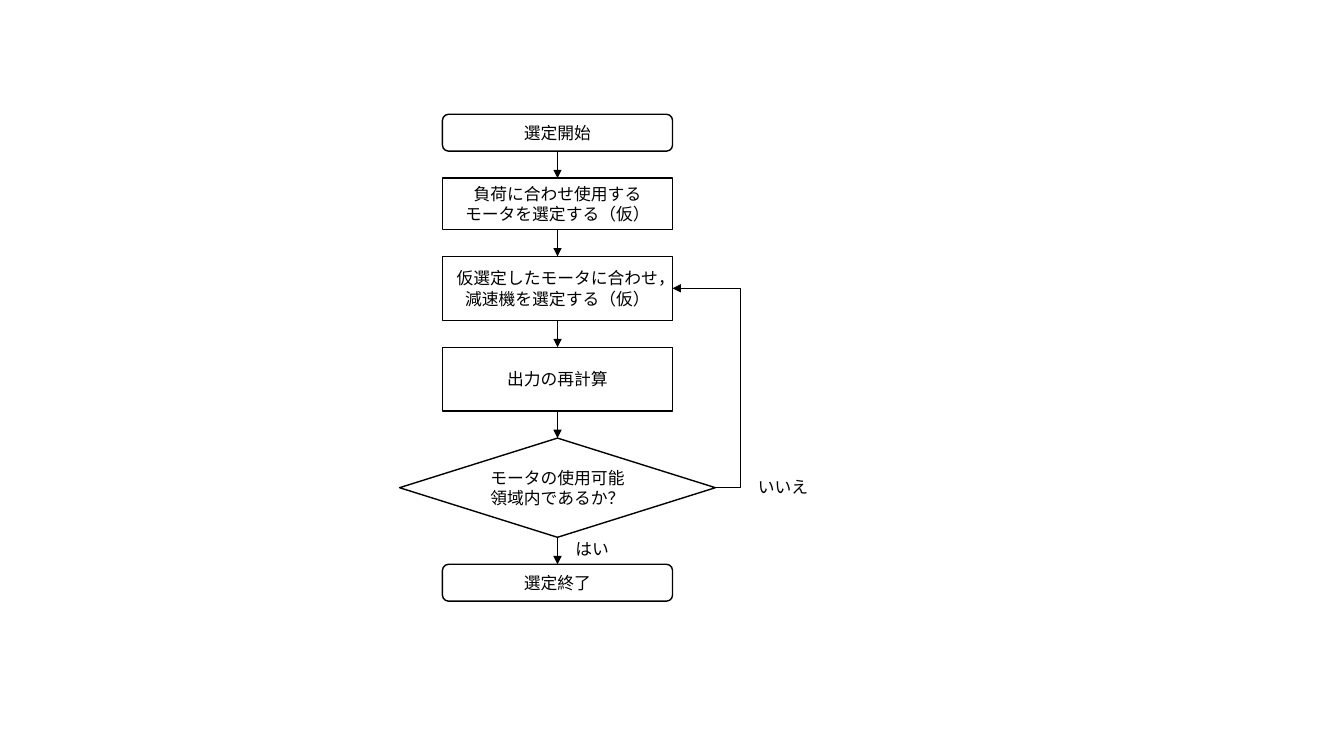
from lxml import etree
from pptx import Presentation
from pptx.dml.color import RGBColor
from pptx.enum.shapes import MSO_CONNECTOR, MSO_SHAPE
from pptx.enum.text import MSO_ANCHOR, MSO_AUTO_SIZE, PP_ALIGN
from pptx.oxml.ns import qn
from pptx.util import Cm, Pt

BLACK = RGBColor(0x00, 0x00, 0x00)
WHITE = RGBColor(0xFF, 0xFF, 0xFF)
FONT = "Noto Sans CJK JP"
TERMINAL = MSO_SHAPE.FLOWCHART_ALTERNATE_PROCESS
PROCESS = MSO_SHAPE.FLOWCHART_PROCESS
DECISION = MSO_SHAPE.FLOWCHART_DECISION
STRAIGHT, ELBOW = MSO_CONNECTOR.STRAIGHT, MSO_CONNECTOR.ELBOW
CENTER, LEFT, MIDDLE = PP_ALIGN.CENTER, PP_ALIGN.LEFT, MSO_ANCHOR.MIDDLE
FIT_SHAPE = MSO_AUTO_SIZE.SHAPE_TO_FIT_TEXT
TOP_SITE, BOTTOM_SITE, RIGHT_SITE = 0, 2, 3
FONT_FORMAT = {"name": FONT, "size": Pt(12)}


def write_text(shape, lines, align):
    frame = shape.text_frame
    frame.text = "\n".join(lines)
    for para in frame.paragraphs:
        para.alignment = align
        for span in para.runs:
            for key, value in FONT_FORMAT.items():
                setattr(span.font, key, value)
            span.font.color.rgb = BLACK
            # East Asian typeface
            etree.SubElement(span.font._element, qn("a:ea"), typeface=FONT)


def add_arrow(kind, start, start_site, end, end_site):
    arrow = page.shapes.add_connector(kind, 0, 0, 0, 0)
    arrow.begin_connect(start, start_site)
    arrow.end_connect(end, end_site)
    arrow.line.color.rgb = BLACK
    arrow.line.width = Pt(0.5)
    etree.SubElement(arrow.line._get_or_add_ln(), qn("a:tailEnd"), type="triangle")
    etree.SubElement(arrow._element.spPr, qn("a:effectLst"))
    return arrow


deck = Presentation()
deck.slide_width, deck.slide_height = Cm(33.87), Cm(19.05)
page = deck.slides.add_slide(deck.slide_layouts[6])

# Steps: shape, width, height, lines
steps = [
    (TERMINAL, 5.8, 0.93, ["選定開始"]),
    (PROCESS, 5.8, 1.29, ["負荷に合わせ使用する", "モータを選定する（仮）"]),
    (PROCESS, 5.8, 1.61, ["仮選定したモータに合わせ，減速機を選定する（仮）"]),
    (PROCESS, 5.8, 1.61, ["出力の再計算"]),
    (DECISION, 7.96, 2.5, ["モータの使用可能", "領域内であるか？"]),
    (TERMINAL, 5.8, 0.93, ["選定終了"]),
]
axis, top, gap = 14.05, 2.88, 0.68
boxes = []
for kind, width, height, lines in steps:
    box = page.shapes.add_shape(
        kind, Cm(axis - width / 2), Cm(top), Cm(width), Cm(height))
    box.shadow.inherit = False
    box.fill.solid()
    box.fill.fore_color.rgb = WHITE
    box.line.color.rgb = BLACK
    box.line.width = Pt(1)
    box.text_frame.word_wrap = True
    box.text_frame.vertical_anchor = MIDDLE
    write_text(box, lines, CENTER)
    boxes.append(box)
    top += height + gap

# Arrows down the flow
for upper, lower in zip(boxes, boxes[1:]):
    add_arrow(STRAIGHT, upper, BOTTOM_SITE, lower, TOP_SITE)

# Loop back from the decision to the reducer step
loop = add_arrow(ELBOW, boxes[4], RIGHT_SITE, boxes[2], RIGHT_SITE)
bend = loop._element.spPr.find(qn("a:prstGeom")).get_or_add_avLst()
etree.SubElement(bend, qn("a:gd"), name="adj1", fmla="val -58300")

# Branch labels
for text, left, label_top, width in [("いいえ", 18.85, 11.89, 1.8),
                                     ("はい", 14.25, 13.44, 1.37)]:
    label = page.shapes.add_textbox(Cm(left), Cm(label_top), Cm(width), Cm(0.76))
    label.text_frame.word_wrap = False
    label.text_frame.auto_size = FIT_SHAPE
    write_text(label, [text], LEFT)

deck.save("out.pptx")
